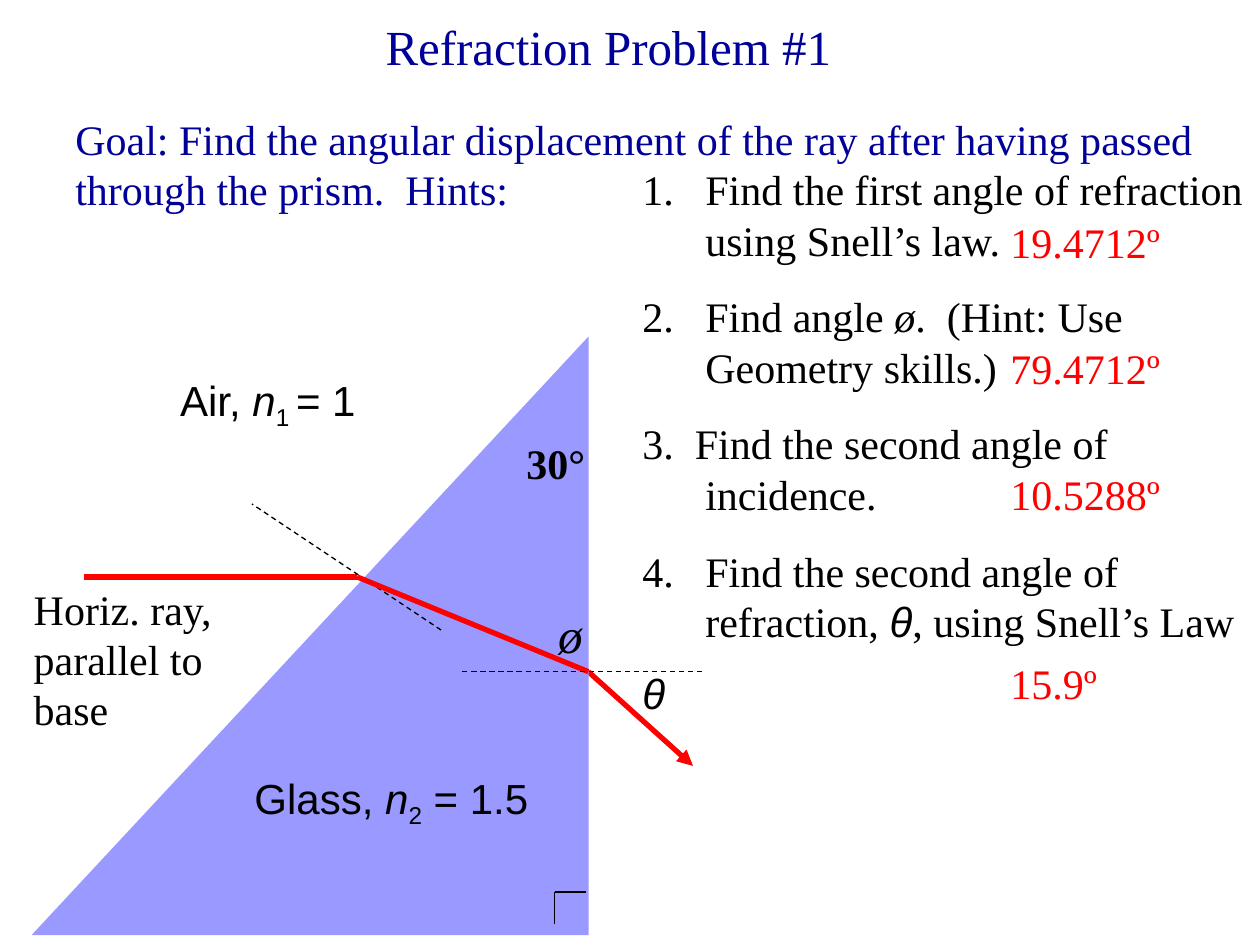
from itertools import pairwise

from pptx import Presentation
from pptx.dml.color import RGBColor
from pptx.enum.dml import MSO_LINE_DASH_STYLE as Dash
from pptx.enum.shapes import MSO_CONNECTOR as Connector, MSO_SHAPE as Shape
from pptx.enum.text import MSO_ANCHOR as Anchor, MSO_AUTO_SIZE as AutoSize, PP_ALIGN as Align
from pptx.oxml.ns import qn
from pptx.util import Cm, Pt

NAVY = RGBColor(0x00, 0x00, 0x99)
BLACK = RGBColor(0x00, 0x00, 0x00)
RED = RGBColor(0xFF, 0x00, 0x00)
LILAC = RGBColor(0x99, 0x99, 0xFF)
SERIF, SANS = "Times New Roman", "Arial"
ITALIC = {"italic": True}
SUBSCRIPT = {"baseline": "-25000"}


class Board:
    """Holds the text style and the slide being drawn."""

    def __init__(self, slide, size=24, spacing=15):
        self.slide = slide
        self.size = size
        self.spacing = spacing

    def run(self, paragraph, text, font=SERIF, color=BLACK, size=None,
            bold=False, italic=False, baseline=None):
        part = paragraph.add_run()
        part.text = text
        part.font.name = font
        part.font.size = Pt(size or self.size)
        part.font.bold = bold
        part.font.italic = italic
        part.font.color.rgb = color
        if baseline:
            part.font._element.set("baseline", baseline)

    def box(self, left, top, width, height):
        frame = self.slide.shapes.add_textbox(
            Cm(left), Cm(top), Cm(width), Cm(height)).text_frame
        frame.word_wrap = True
        frame.auto_size = AutoSize.SHAPE_TO_FIT_TEXT
        return frame

    def label(self, place, *runs, **style):
        """Add a one-paragraph box; each run is (text, overrides), None breaks the line."""
        frame = self.box(*place)
        paragraph = frame.paragraphs[0]
        for run in runs:
            if run is None:
                paragraph.add_line_break()
            else:
                text, overrides = run
                self.run(paragraph, text, **{**style, **overrides})
        return frame

    def title(self, place, text):
        frame = self.label(place, (text, {}), size=28, color=NAVY)
        frame.auto_size = AutoSize.NONE
        frame.vertical_anchor = Anchor.MIDDLE
        frame.paragraphs[0].alignment = Align.CENTER

    def steps(self, place, items):
        """Add a hanging list; an item's number is None when its text carries it."""
        frame = self.box(*place)
        for index, (number, runs) in enumerate(items):
            paragraph = frame.add_paragraph() if index else frame.paragraphs[0]
            properties = paragraph._p.get_or_add_pPr()
            properties.set("marL", str(Cm(1.27)))
            properties.set("indent", str(-Cm(1.27)))
            if number:
                bullet = properties.makeelement(
                    qn("a:buAutoNum"), {"type": "arabicPeriod", "startAt": str(number)})
                properties.append(bullet)
            if index:
                paragraph.space_before = Pt(self.spacing)
            for text, overrides in runs:
                self.run(paragraph, text, **overrides)

    def prism(self, left, top, width, height):
        triangle = self.slide.shapes.add_shape(
            Shape.RIGHT_TRIANGLE, Cm(left), Cm(top), Cm(width), Cm(height))
        triangle.shadow.inherit = False
        triangle.fill.solid()
        triangle.fill.fore_color.rgb = LILAC
        triangle.line.fill.background()
        triangle._element.spPr.find(qn("a:xfrm")).set("flipH", "1")

    def line(self, start, end, color=BLACK, width=0.75, dashed=False, arrow=False):
        connector = self.slide.shapes.add_connector(
            Connector.STRAIGHT, *map(Cm, start + end))
        connector.line.color.rgb = color
        connector.line.width = Pt(width)
        if dashed:
            connector.line.dash_style = Dash.DASH
        properties = connector._element.spPr
        if arrow:
            outline = connector.line._get_or_add_ln()
            outline.append(outline.makeelement(qn("a:tailEnd"), {"type": "triangle"}))
        properties.append(properties.makeelement(qn("a:effectLst"), {}))

    def ray(self, start, end, arrow=False):
        self.line(start, end, color=RED, width=3, arrow=arrow)


def main():
    deck = Presentation()
    deck.slide_width, deck.slide_height = Cm(25.4), Cm(19.05)
    board = Board(deck.slides.add_slide(deck.slide_layouts[6]))

    board.title((1.47, 0.2, 21.59, 1.47), "Refraction Problem #1")
    board.steps((12.7, 3.18, 12.7, 9.98), [
        (1, [("Find the first angle of refraction using Snell’s law.", {})]),
        (2, [("Find angle ", {}), ("ø", ITALIC),
             (".  (Hint: Use  Geometry skills.)", {})]),
        (None, [("3.  Find the second angle of incidence.", {})]),
        (4, [("Find the second angle of refraction, ", {}),
             ("θ", {"font": SANS, "italic": True}),
             (", using Snell’s Law", {})]),
    ])

    source, entry, leaving, outside = (1.7, 11.63), (7.2, 11.63), (11.86, 13.54), (13.97, 15.44)
    board.ray(leaving, outside, arrow=True)
    board.label((12.7, 13.34, 2.54, 1.27), ("θ", ITALIC), font=SANS)
    board.prism(0.64, 6.78, 11.23, 12.07)

    right_angle = [(11.18, 18.62), (11.18, 17.98), (11.81, 17.98)]
    for start, end in pairwise(right_angle):
        board.line(start, end)

    board.ray(source, entry)
    board.line((8.89, 12.7), (5.08, 10.16), dashed=True)
    board.ray(entry, leaving)
    board.line((9.32, 13.54), (14.17, 13.54), dashed=True)

    board.label((4.88, 15.44, 6.15, 1.42), ("Glass, ", {}), ("n", ITALIC),
                ("2", SUBSCRIPT), (" = 1.5", {}), font=SANS)
    board.label((3.38, 7.42, 4.24, 1.42), ("Air, ", {}), ("n", ITALIC),
                ("1 ", SUBSCRIPT), ("= 1", {}), font=SANS)
    board.label((10.36, 8.69, 1.91, 1.27), ("30°", {}), bold=True)
    board.label((11, 12.07, 1.47, 1.45), ("ø", ITALIC), size=28)
    board.label((0.43, 11.63, 5.92, 3.3),
                ("Horiz. ray, parallel to ", {}), None, ("base", {}))

    answers = [("19.4712º", 4.24, 5.08), ("79.4712º", 6.78, 4.01),
               ("10.5288º", 9.32, 3.61), ("15.9º", 13.13, 3.81)]
    for angle, top, width in answers:
        board.label((20.12, top, width, 1.27), (angle, {}), color=RED)

    board.label((1.27, 2.16, 23.06, 2.29),
                ("Goal: Find the angular displacement of the ray after having "
                 "passed through the prism.  Hints:", {}), color=NAVY)

    deck.save("out.pptx")


if __name__ == "__main__":
    main()
